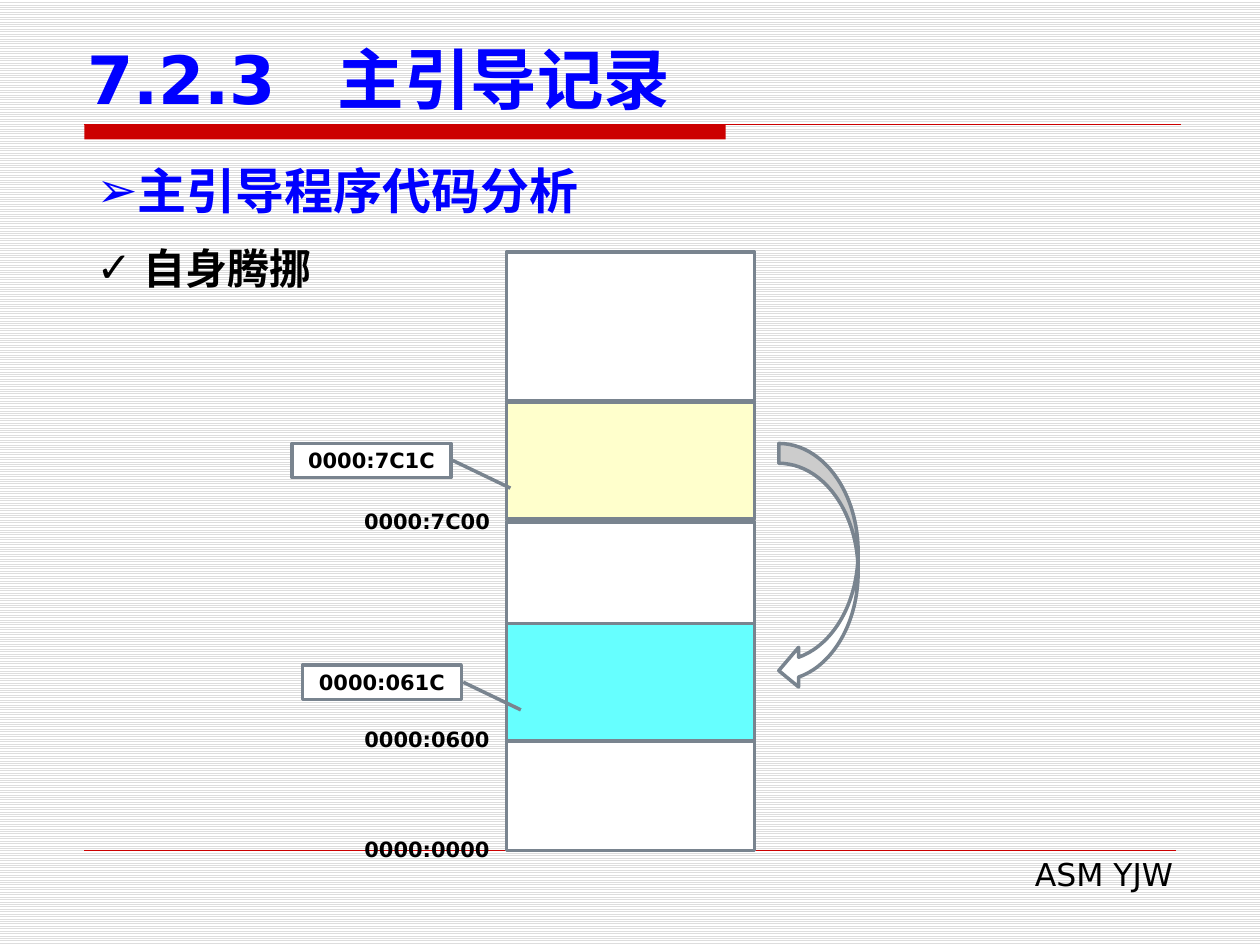
import pptx
import pptx.util
import pptx.dml.color
import pptx.enum.dml
import pptx.enum.shapes
import pptx.enum.text
import pptx.oxml.ns
from lxml import etree

Cm = pptx.util.Cm
Pt = pptx.util.Pt
SHAPE = pptx.enum.shapes.MSO_SHAPE
ALIGN = pptx.enum.text.PP_ALIGN
ANCHOR = pptx.enum.text.MSO_ANCHOR
LATIN = "DejaVu Sans"
CJK = "Noto Sans CJK SC"
RED, GREY, BLUE, BLACK, WHITE = "CC0000", "79848F", "0000FF", "000000", "FFFFFF"
ADDRESS = {"size": Pt(12), "bold": True}


def rgb(value):
    return pptx.dml.color.RGBColor.from_string(value)


def add_element(parent, tag, **attrs):
    return etree.SubElement(parent, pptx.oxml.ns.qn(tag), attrs)


def set_text(tf, text, fmt, color=BLACK, align=ALIGN.LEFT):
    p = tf.paragraphs[0]
    p.alignment = align
    r = p.add_run()
    r.text = text
    for name, value in {"name": LATIN, **fmt}.items():
        setattr(r.font, name, value)
    r.font.color.rgb = rgb(color)
    add_element(r.font._element, "a:ea", typeface=CJK)
    return p


def add_text(s, box, text, fmt, color=BLACK, align=ALIGN.LEFT):
    sp = s.shapes.add_textbox(*map(Cm, box))
    sp.text_frame.word_wrap = True
    return set_text(sp.text_frame, text, fmt, color, align)


def add_bullet(p, char, indent=0):
    pPr = p._p.get_or_add_pPr()
    pPr.set("marL", str(Cm(indent)))
    pPr.set("indent", str(-Cm(indent)))
    add_element(pPr, "a:buFont", typeface=LATIN)
    add_element(pPr, "a:buChar", char=char)


def add_shape(s, kind, box, fill=WHITE, line=GREY):
    sp = s.shapes.add_shape(kind, *map(Cm, box))
    sp.shadow.inherit = False
    sp.fill.solid()
    sp.fill.fore_color.rgb = rgb(fill)
    if line:
        sp.line.color.rgb = rgb(line)
        sp.line.width = Pt(2)
    else:
        sp.line.fill.background()
    return sp


def add_rule(s, left, right, y, width):
    line = s.shapes.add_connector(
        pptx.enum.shapes.MSO_CONNECTOR.STRAIGHT, Cm(left), Cm(y), Cm(right), Cm(y))
    line.line.color.rgb = rgb(RED)
    line.line.width = Pt(width)
    add_element(line._element.spPr, "a:effectLst")


def add_callout(s, left, top, text):
    sp = add_shape(s, SHAPE.LINE_CALLOUT_1, (left, top, 3.2, 0.69))
    for i, value in enumerate((0.498, 1.012, 1.306, 1.375)):
        sp.adjustments[i] = value
    sp.text_frame.vertical_anchor = ANCHOR.MIDDLE
    set_text(sp.text_frame, text, ADDRESS, align=ALIGN.CENTER)


def add_title(s, number, text):
    title = s.shapes.title
    for name, value in zip(("left", "top", "width", "height"), (1.5, 0.71, 23.01, 1.8)):
        setattr(title, name, Cm(value))
    tf = title.text_frame
    tf.auto_size = pptx.enum.text.MSO_AUTO_SIZE.NONE
    tf.vertical_anchor = ANCHOR.BOTTOM
    p = set_text(tf, f"{number}\t{text}", {"size": Pt(38), "bold": True}, BLUE)
    tabs = add_element(p._p.get_or_add_pPr(), "a:tabLst")
    add_element(tabs, "a:tab", pos=str(Cm(5.05)), algn="l")


def add_frame(s):
    fill = s.background.fill
    fill.patterned()
    fill.pattern = pptx.enum.dml.MSO_PATTERN.LIGHT_HORIZONTAL
    fill.fore_color.rgb = rgb("DDDDDD")
    fill.back_color.rgb = rgb(WHITE)
    add_shape(s, SHAPE.RECTANGLE, (1.7, 2.51, 12.93, 0.3), RED, None)
    add_rule(s, 1.7, 23.8, 2.51, 0.75)
    add_rule(s, 1.7, 23.7, 17.15, 0.25)
    add_text(s, (9.7, 17.12, 14.2, 1.02), "ASM YJW", {"size": Pt(18)}, align=ALIGN.RIGHT)


def add_memory_map(s):
    cells = [(5.08, 3, WHITE), (8.1, 2.36, "FFFFCC"), (10.52, 2.06, WHITE),
             (12.57, 2.36, "66FFFF"), (14.94, 2.21, WHITE)]
    for top, height, fill in cells:
        add_shape(s, SHAPE.RECTANGLE, (10.21, top, 5, height), fill)
    for top, text in [(10.13, "0000:7C00"), (14.53, "0000:0600"), (16.74, "0000:0000")]:
        add_text(s, (7.01, top, 3.2, 0.76), text, ADDRESS, align=ALIGN.CENTER)
    add_callout(s, 5.89, 8.94, "0000:7C1C")
    add_callout(s, 6.1, 13.41, "0000:061C")
    add_shape(s, SHAPE.CURVED_LEFT_ARROW, (15.7, 8.94, 1.6, 4.98))


def main():
    prs = pptx.Presentation()
    prs.slide_width, prs.slide_height = Cm(25.4), Cm(19.05)
    s = prs.slides.add_slide(prs.slide_layouts[5])
    add_frame(s)
    add_title(s, "7.2.3", "主引导记录")
    heading = add_text(s, (1.7, 3.12, 22, 1.45), "主引导程序代码分析",
                       {"size": Pt(28), "bold": True}, BLUE, ALIGN.JUSTIFY)
    add_bullet(heading, "➢")
    step = add_text(s, (1.7, 4.52, 22, 1.37), "自身腾挪",
                    {"name": CJK, "size": Pt(24), "bold": True})
    step.line_spacing = Pt(36)
    add_bullet(step, "✓", 0.95)
    add_memory_map(s)
    prs.save("out.pptx")


if __name__ == "__main__":
    main()
